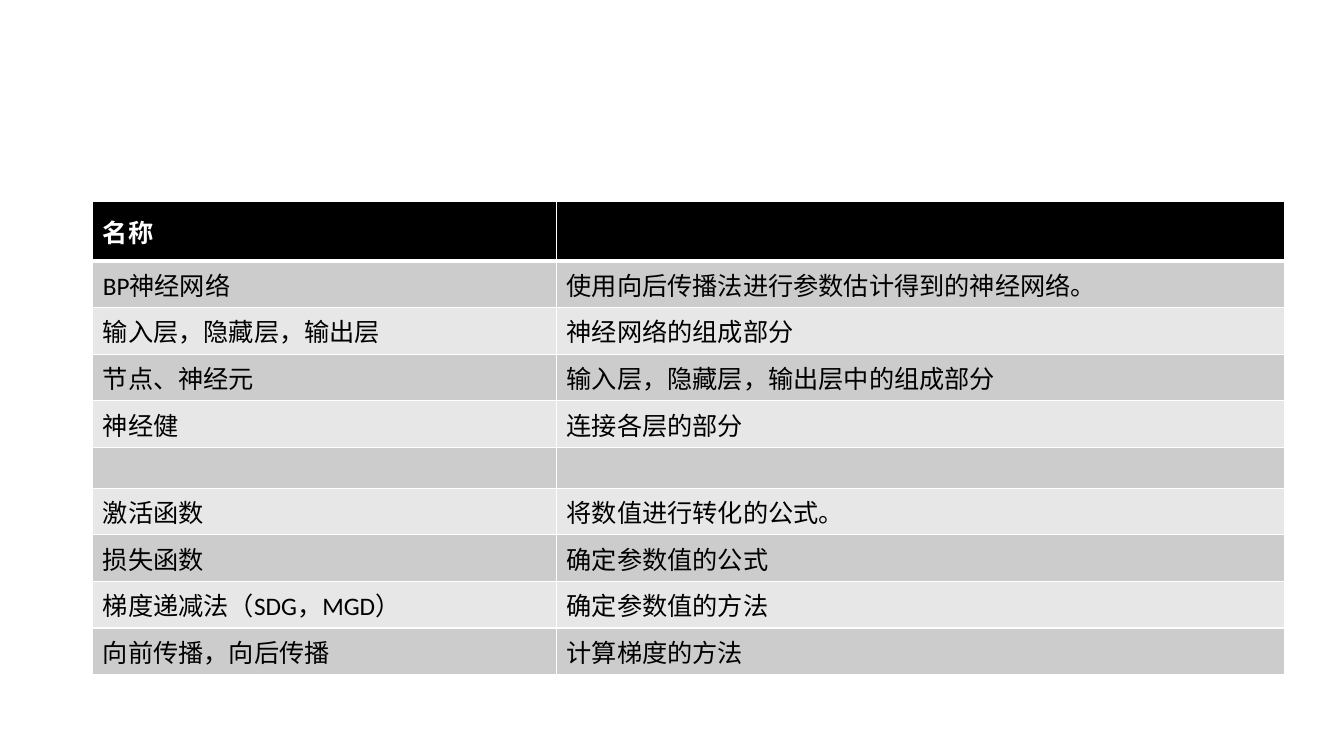
from lxml import etree
from pptx import Presentation
from pptx.dml.color import RGBColor
from pptx.enum.text import MSO_ANCHOR
from pptx.oxml.ns import qn
from pptx.util import Inches, Pt

MIDDLE = MSO_ANCHOR.MIDDLE
BLACK = RGBColor(0, 0, 0)
WHITE = RGBColor(255, 255, 255)
DARK = RGBColor(0xCC, 0xCC, 0xCC)
LIGHT = RGBColor(0xE7, 0xE7, 0xE7)

TERMS = [
    ("名称", ""),
    ("BP神经网络", "使用向后传播法进行参数估计得到的神经网络。"),
    ("输入层，隐藏层，输出层", "神经网络的组成部分"),
    ("节点、神经元", "输入层，隐藏层，输出层中的组成部分"),
    ("神经健", "连接各层的部分"),
    ("", ""),
    ("激活函数", "将数值进行转化的公式。"),
    ("损失函数", "确定参数值的公式"),
    ("梯度递减法（SDG，MGD）", "确定参数值的方法"),
    ("向前传播，向后传播", "计算梯度的方法"),
]
COLS = [4.6, 7.22]
ROWS = [0.59] + [0.4] * (len(TERMS) - 1)


def add_edge(cell, side, place, width):
    line = etree.Element(qn("a:ln" + side), w=str(Pt(width)))
    fill = etree.SubElement(line, qn("a:solidFill"))
    etree.SubElement(fill, qn("a:srgbClr"), val=str(WHITE))
    cell._tc.get_or_add_tcPr().insert(place, line)


# Slide
deck = Presentation()
deck.slide_width, deck.slide_height = Inches(13.33), Inches(7.5)
slide = deck.slides.add_slide(deck.slide_layouts[6])

# Table grid
frame = slide.shapes.add_table(
    len(ROWS), len(COLS), Inches(0.92), Inches(2),
    Inches(sum(COLS)), Inches(sum(ROWS)))
table = frame.table
for col, width in zip(table.columns, COLS):
    col.width = Inches(width)
for row, height in zip(table.rows, ROWS):
    row.height = Inches(height)

# Header and banded rows
for r, terms in enumerate(TERMS):
    head = r == 0
    band = BLACK if head else DARK if r % 2 else LIGHT
    style = {"name": "Calibri", "size": Pt(18), "bold": head}
    edges = {"L": 1, "R": 1, "T": 3 if r == 1 else 1, "B": 3 if head else 1}
    for c, text in enumerate(terms):
        cell = table.cell(r, c)
        cell.vertical_anchor = MIDDLE
        cell.fill.solid()
        cell.fill.fore_color.rgb = band
        for place, (side, width) in enumerate(edges.items()):
            add_edge(cell, side, place, width)
        if text:
            run = cell.text_frame.paragraphs[0].add_run()
            run.text = text
            for key, value in style.items():
                setattr(run.font, key, value)
            run.font.color.rgb = WHITE if head else BLACK

deck.save("out.pptx")
